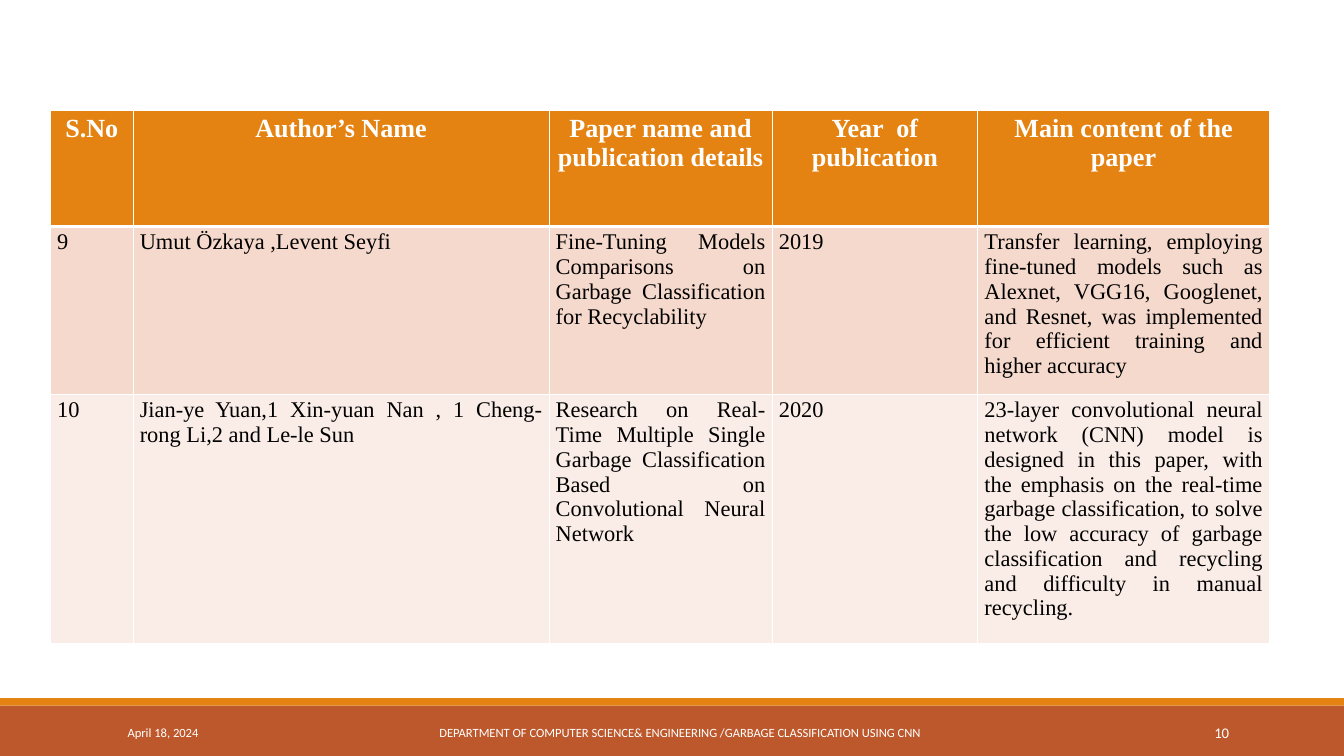
from lxml import etree
from pptx import Presentation
from pptx.dml.color import RGBColor
from pptx.enum import shapes, text
from pptx.oxml.ns import qn
from pptx.util import Inches, Pt

# Content
HEADER = ["S.No", "Author’s Name", "Paper name and publication details",
          "Year  of publication", "Main content of the paper"]
PAPERS = [
    ["9", "Umut Özkaya ,Levent Seyfi",
     "Fine-Tuning Models Comparisons on Garbage Classification for Recyclability",
     "2019",
     "Transfer learning, employing fine-tuned models such as Alexnet, VGG16, "
     "Googlenet, and Resnet, was implemented for efficient training and higher accuracy"],
    ["10", "Jian-ye Yuan,1 Xin-yuan Nan , 1 Cheng-rong Li,2 and Le-le Sun",
     "Research on Real-Time Multiple Single Garbage Classification Based on "
     "Convolutional Neural Network",
     "2020",
     "23-layer convolutional neural network (CNN) model is designed in this paper, "
     "with the emphasis on the real-time garbage classification, to solve the low "
     "accuracy of garbage classification and recycling and difficulty in manual recycling."],
]
ALIGN = text.PP_ALIGN
FOOTER = [  # wording, left, width, size, alignment
    ("April 18, 2024", 1.8, 4.06, 13.5, ALIGN.LEFT),
    ("DEPARTMENT OF COMPUTER SCIENCE& ENGINEERING /GARBAGE CLASSIFICATION USING CNN",
     6.05, 8.14, 13.5, ALIGN.CENTER),
    ("10", 16.24, 2.15, 15.8, ALIGN.RIGHT),
]

# Layout in inches
WIDTH, HEIGHT = 20, 11.25
BAND_TOP, STRIPE = 10.5, 0.11
TABLE_LEFT, TABLE_TOP = 0.75, 1.65
COLUMNS = [1.23, 6.19, 3.32, 3.06, 4.34]
ROWS = [1.72, 2.39, 3.51]
YEAR_COLUMN = 3

WHITE = RGBColor(0xFF, 0xFF, 0xFF)
BLACK = RGBColor(0, 0, 0)
ORANGE = RGBColor(0xE4, 0x83, 0x12)
RUST = RGBColor(0xBD, 0x58, 0x2C)
ROW_FILLS = [ORANGE, RGBColor(0xF5, 0xD9, 0xCC), RGBColor(0xFA, 0xED, 0xE7)]


def style(paragraph, font_name, size, color, alignment, bold=False):
    paragraph.alignment = alignment
    font = paragraph.font
    font.name, font.size, font.bold = font_name, Pt(size), bold
    font.color.rgb = color


def add_bar(slide, top, height, color):
    bar = slide.shapes.add_shape(shapes.MSO_SHAPE.RECTANGLE, 0, Inches(top),
                                 Inches(WIDTH), Inches(height))
    bar.shadow.inherit = False
    bar.fill.solid()
    bar.fill.fore_color.rgb = color
    bar.line.fill.background()


def set_borders(cell, bottom, top):
    properties = cell._tc.get_or_add_tcPr()
    widths = {"a:lnL": 1, "a:lnR": 1, "a:lnT": top, "a:lnB": bottom}
    for position, (side, width) in enumerate(widths.items()):
        line = etree.Element(qn(side), w=str(Pt(width)))
        fill = etree.SubElement(line, qn("a:solidFill"))
        etree.SubElement(fill, qn("a:srgbClr"), val=str(WHITE))
        properties.insert(position, line)


def add_papers_table(slide):
    table = slide.shapes.add_table(
        len(ROWS), len(COLUMNS), Inches(TABLE_LEFT), Inches(TABLE_TOP),
        Inches(sum(COLUMNS)), Inches(sum(ROWS))).table
    for column, width in zip(table.columns, COLUMNS):
        column.width = Inches(width)
    for r, (values, height) in enumerate(zip([HEADER] + PAPERS, ROWS)):
        table.rows[r].height = Inches(height)
        for c, value in enumerate(values):
            cell = table.cell(r, c)
            cell.text = value
            cell.fill.solid()
            cell.fill.fore_color.rgb = ROW_FILLS[r]
            set_borders(cell, bottom=3 if r == 0 else 1, top=3 if r == 1 else 1)
            paragraph = cell.text_frame.paragraphs[0]
            if r == 0:
                style(paragraph, "Times New Roman", 28, WHITE, ALIGN.CENTER, bold=True)
            else:
                alignment = ALIGN.LEFT if c == YEAR_COLUMN else ALIGN.JUSTIFY
                style(paragraph, "Times New Roman", 24, BLACK, alignment)


def add_footer(slide):
    add_bar(slide, BAND_TOP, HEIGHT - BAND_TOP, RUST)
    add_bar(slide, BAND_TOP - STRIPE, STRIPE, ORANGE)
    for wording, left, width, size, alignment in FOOTER:
        frame = slide.shapes.add_textbox(Inches(left), Inches(BAND_TOP + 0.1),
                                         Inches(width), Inches(0.6)).text_frame
        frame.word_wrap = True
        frame.vertical_anchor = text.MSO_ANCHOR.MIDDLE
        frame.text = wording
        style(frame.paragraphs[0], "Calibri", size, WHITE, alignment)


def main():
    deck = Presentation()
    deck.slide_width, deck.slide_height = Inches(WIDTH), Inches(HEIGHT)
    slide = deck.slides.add_slide(deck.slide_layouts[6])
    add_footer(slide)
    add_papers_table(slide)
    deck.save("out.pptx")


if __name__ == "__main__":
    main()
